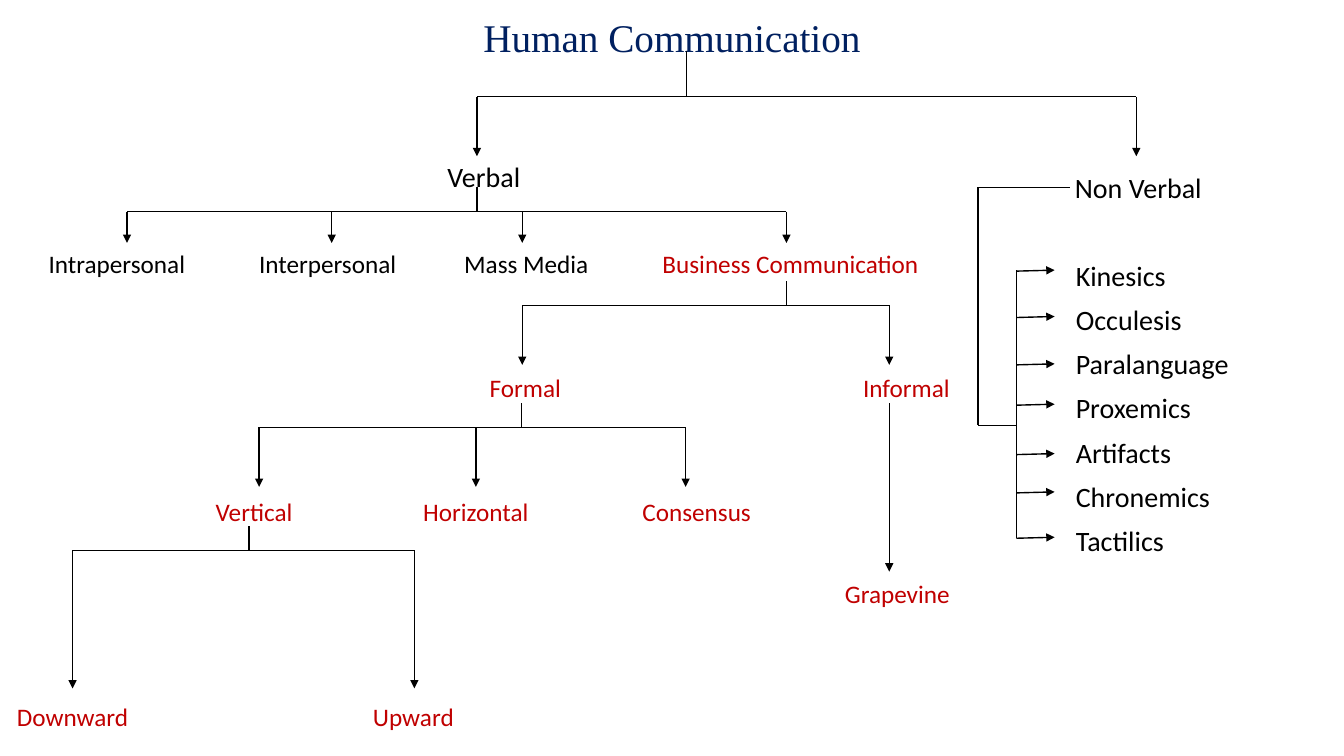
"""Build a slide with a tree of the kinds of human communication."""
from lxml import etree
from pptx import Presentation
from pptx.dml.color import RGBColor
from pptx.enum import shapes, text
from pptx.oxml import ns
from pptx.util import Inches, Pt

NAVY = RGBColor(0x00, 0x20, 0x60)
RED = RGBColor(0xC0, 0x00, 0x00)
BLACK = RGBColor(0x00, 0x00, 0x00)


def add_text(s, lines, x, y, w, h, size=18, color=BLACK, font="Calibri",
             align=text.PP_ALIGN.CENTER, anchor=text.MSO_ANCHOR.MIDDLE,
             spacing=1.0, after=0):
    tf = s.shapes.add_textbox(Inches(x), Inches(y), Inches(w), Inches(h)).text_frame
    tf.margin_left = tf.margin_right = tf.margin_top = tf.margin_bottom = 0
    tf.word_wrap = True
    tf.vertical_anchor = anchor
    for i, line in enumerate(lines):
        p = tf.add_paragraph() if i else tf.paragraphs[0]
        p.alignment, p.line_spacing, p.space_after = align, spacing, Pt(after)
        r = p.add_run()
        r.text = line
        r.font.size, r.font.name, r.font.color.rgb = Pt(size), font, color


def add_label(s, label, cx, cy, w=1.6, h=0.36, **fmt):
    add_text(s, [label], cx - w / 2, cy - h / 2, w, h, **fmt)


def add_line(s, x1, y1, x2, y2, arrow=False):
    line = s.shapes.add_connector(shapes.MSO_CONNECTOR.STRAIGHT, Inches(x1),
                                  Inches(y1), Inches(x2), Inches(y2))
    line.line.color.rgb, line.line.width = BLACK, Pt(1)
    if arrow:
        etree.SubElement(line.line._get_or_add_ln(), ns.qn("a:tailEnd"), type="triangle")
    etree.SubElement(line._element.spPr, ns.qn("a:effectLst"))


def add_fork(s, stem, top, bar, tip, branches):
    add_line(s, stem, top, stem, bar)
    add_line(s, branches[0], bar, branches[-1], bar)
    for x in branches:
        add_line(s, x, bar, x, tip, arrow=True)


def add_heading(s, x, y, w):
    add_label(s, "Human Communication", x + w / 2, y + 0.37, w=w, h=0.5,
              size=28, color=NAVY, font="Times New Roman")
    add_fork(s, x + 6.81, y + 0.51, y + 0.96, y + 1.55, [x + 4.73, x + 11.27])


def add_verbal(s, x, y):
    forks = [
        (4.73, 0.36, 0.6, 0.91, [1.26, 3.29, 5.18, 7.8]),
        (7.8, 1.29, 1.53, 2.12, [5.18, 8.82]),
        (5.17, 2.5, 2.74, 3.33, [2.57, 4.72, 6.8]),
        (2.47, 3.72, 3.96, 5.33, [0.72, 4.11]),
    ]
    for stem, top, bar, tip, branches in forks:
        add_fork(s, x + stem, y + top, y + bar, y + tip, [x + b for b in branches])
    add_line(s, x + 8.82, y + 2.5, x + 8.82, y + 4.17, arrow=True)

    add_label(s, "Verbal", x + 4.8, y + 0.25, size=20)
    for label, cx in [("Intrapersonal", 1.16), ("Interpersonal", 3.25), ("Mass Media", 5.22)]:
        add_label(s, label, x + cx, y + 1.11)
    add_label(s, "Business Communication", x + 7.84, y + 1.11, w=2.8, color=RED)
    rows = [
        (2.34, [("Formal", 5.21), ("Informal", 8.99)]),
        (3.57, [("Vertical", 2.52), ("Horizontal", 4.72), ("Consensus", 6.91)]),
        (4.39, [("Grapevine", 8.9)]),
        (5.61, [("Downward", 0.72), ("Upward", 4.1)]),
    ]
    for cy, labels in rows:
        for label, cx in labels:
            add_label(s, label, x + cx, y + cy, w=1.4, color=RED)


def add_non_verbal(s, x, y):
    kinds = ["Kinesics", "Occulesis", "Paralanguage", "Proxemics",
             "Artifacts", "Chronemics", "Tactilics"]
    add_label(s, "Non Verbal", x + 1.79, y + 0.36, size=20)
    add_text(s, kinds, x + 1.17, y + 1.1, 2.4, 3.2, size=20,
             align=text.PP_ALIGN.LEFT, anchor=text.MSO_ANCHOR.TOP, spacing=0.9, after=10)
    left, spine = x + 0.2, x + 0.58
    add_line(s, x + 1.11, y + 0.36, left, y + 0.36)
    add_line(s, left, y + 0.36, left, y + 2.72)
    add_line(s, left, y + 2.72, spine, y + 2.72)
    add_line(s, spine, y + 1.18, spine, y + 3.84)
    for dy in [1.19, 1.65, 2.12, 2.52, 3.01, 3.39, 3.84]:
        add_line(s, spine, y + dy, spine + 0.38, y + dy - 0.01, arrow=True)


def main():
    prs = Presentation()
    prs.slide_width, prs.slide_height = Inches(13.33), Inches(7.5)
    s = prs.slides.add_slide(prs.slide_layouts[6])
    add_heading(s, 0, 0, 13.33)
    add_verbal(s, 0, 1.5)
    add_non_verbal(s, 9.5, 1.5)
    prs.save("out.pptx")


if __name__ == "__main__":
    main()
